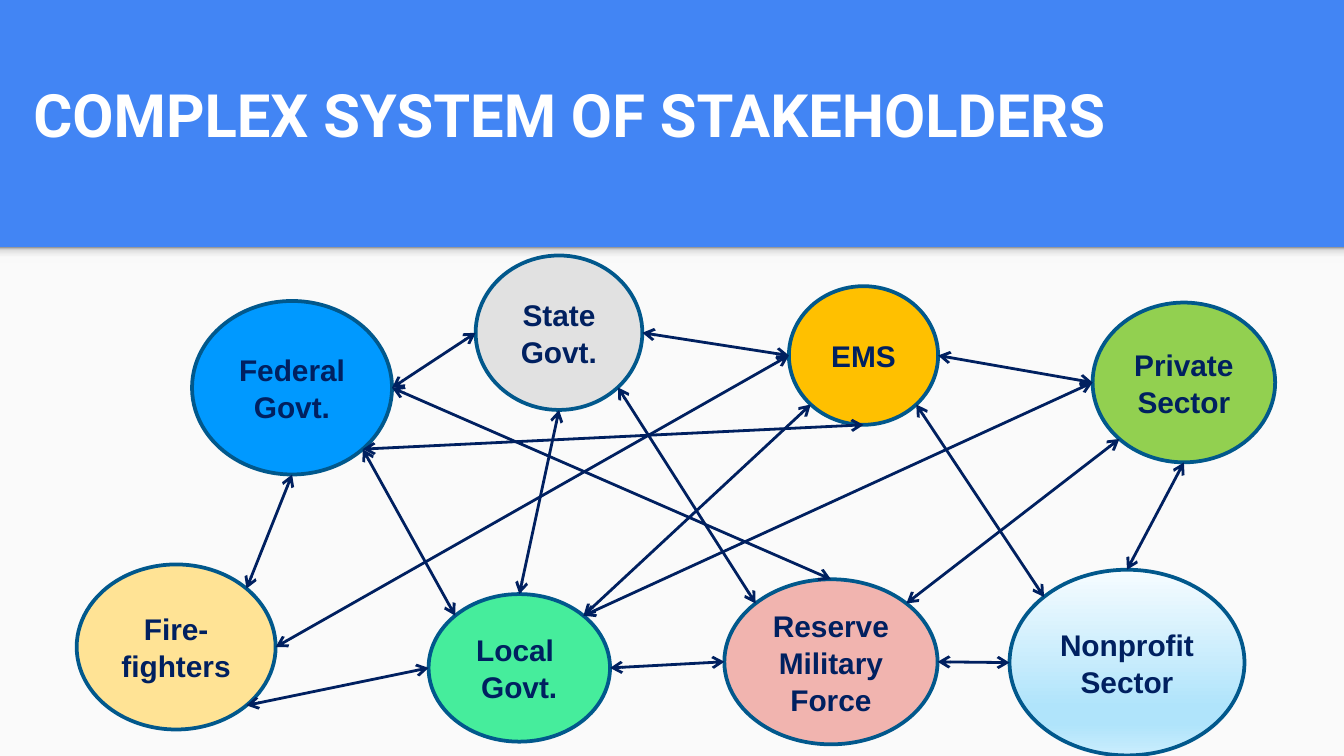
from math import cos, radians, sin

from lxml.etree import SubElement
from pptx import Presentation
from pptx.dml.color import RGBColor
from pptx.enum.shapes import MSO_CONNECTOR, MSO_SHAPE
from pptx.enum.text import MSO_ANCHOR, PP_ALIGN
from pptx.oxml.ns import qn
from pptx.util import Cm, Pt


def color(value):
    return RGBColor.from_string(value)


def fill_shape(shape, fill, angle=90):
    """Fill with one colour, or with a list of (percent, colour) stops."""
    if isinstance(fill, str):
        shape.fill.solid()
        shape.fill.fore_color.rgb = color(fill)
        return
    shape.fill.gradient()
    shape.fill.gradient_angle = angle
    stop_list = shape._element.spPr.find(".//" + qn("a:gsLst"))
    for stop in list(stop_list):
        stop_list.remove(stop)
    for percent, value in fill:
        stop = SubElement(stop_list, qn("a:gs"), pos=str(percent * 1000))
        SubElement(stop, qn("a:srgbClr"), val=value)


NAVY = "002060"
OUTLINE = "01588C"

presentation = Presentation()
presentation.slide_width = Cm(25.4)
presentation.slide_height = Cm(14.29)
slide = presentation.slides.add_slide(presentation.slide_layouts[5])
slide.background.fill.solid()
slide.background.fill.fore_color.rgb = color("4285F4")

# Light panel with a shadow strip along its top edge
shadow_stops = [(0, "F9F9F9"), (36, "F9F9F9"), (80, "DEDEDE"), (100, "999999")]
for height, fill in [(9.62, "FAFAFA"), (0.3, shadow_stops)]:
    shape = slide.shapes.add_shape(
        MSO_SHAPE.RECTANGLE, 0, Cm(4.67), presentation.slide_width, Cm(height))
    shape.shadow.inherit = False
    shape.line.fill.background()
    fill_shape(shape, fill)

# Title
title = slide.shapes.title
title.left, title.top, title.width, title.height = Cm(0.38), Cm(0.2), Cm(22.5), Cm(2.87)
frame = title.text_frame
frame.word_wrap = True
frame.vertical_anchor = MSO_ANCHOR.BOTTOM
frame.margin_left = frame.margin_right = Cm(0.25)
frame.margin_top = frame.margin_bottom = Cm(0.25)
paragraph = frame.paragraphs[0]
paragraph.alignment = PP_ALIGN.LEFT
run = paragraph.add_run()
run.text = "COMPLEX SYSTEM OF STAKEHOLDERS"
run.font.name = "Roboto"
run.font.size = Pt(32)
run.font.bold = True
run.font.color.rgb = color("FFFFFF")

# Stakeholders: name, lines, left, top, width, height, fill
ice_stops = [(0, "F6FCFF"), (74, "B0E4FB"), (83, "B0E4FB"), (100, "CAEDFD")]
stakeholders = [
    ("federal", ["Federal Govt."], 3.63, 5.69, 3.78, 3.28, "0099FF"),
    ("state", ["State Govt."], 8.99, 4.83, 3.15, 2.92, "E1E1E1"),
    ("fire", ["Fire-", "fighters"], 1.45, 10.67, 3.76, 3.12, "FFE395"),
    ("reserve", ["Reserve Military Force"], 13.69, 10.95, 4.03, 3.12, "F1B4AF"),
    ("ems", ["EMS"], 14.91, 5.41, 2.82, 2.62, "FFC000"),
    ("nonprofit", ["Nonprofit Sector"], 19.08, 10.77, 4.44, 3.51, ice_stops),
    ("private", ["Private Sector"], 20.65, 5.72, 3.45, 3.02, "92D050"),
    ("local", ["Local ", "Govt."], 8.1, 11.23, 3.43, 2.79, "46ED9C"),
]
ovals = {}
for name, lines, left, top, width, height, fill in stakeholders:
    shape = slide.shapes.add_shape(
        MSO_SHAPE.OVAL, Cm(left), Cm(top), Cm(width), Cm(height))
    shape.shadow.inherit = False
    fill_shape(shape, fill, angle=270)
    shape.line.color.rgb = color(OUTLINE)
    shape.line.width = Pt(2)
    frame = shape.text_frame
    frame.word_wrap = True
    frame.vertical_anchor = MSO_ANCHOR.MIDDLE
    for index, line in enumerate(lines):
        paragraph = frame.add_paragraph() if index else frame.paragraphs[0]
        paragraph.alignment = PP_ALIGN.CENTER
        paragraph.line_spacing = 1.03
        run = paragraph.add_run()
        run.text = line
        run.font.name = "Arial"
        run.font.size = Pt(16)
        run.font.bold = True
        run.font.color.rgb = color(NAVY)
    ovals[name] = shape

# Two-way links; an oval has eight sites, counterclockwise from 0 at the top
links = [
    ("federal", 6, "state", 2), ("local", 7, "ems", 3),
    ("state", 6, "ems", 2), ("ems", 6, "private", 2),
    ("ems", 5, "nonprofit", 1), ("reserve", 6, "nonprofit", 2),
    ("nonprofit", 0, "private", 4), ("fire", 6, "ems", 2),
    ("reserve", 1, "state", 5), ("local", 6, "reserve", 2),
    ("local", 0, "state", 4), ("local", 1, "federal", 5),
    ("ems", 4, "federal", 5), ("fire", 5, "local", 2),
    ("reserve", 0, "federal", 6), ("fire", 7, "federal", 4),
    ("local", 7, "private", 2), ("reserve", 7, "private", 3),
]
for start, start_site, end, end_site in links:
    ends = [("a:headEnd", "a:stCxn", ovals[start], start_site),
            ("a:tailEnd", "a:endCxn", ovals[end], end_site)]
    points = []
    for _, _, oval, site in ends:
        angle = radians(90 + 45 * site)
        points.append(int(oval.left + oval.width / 2 * (1 + cos(angle))))
        points.append(int(oval.top + oval.height / 2 * (1 - sin(angle))))
    connector = slide.shapes.add_connector(MSO_CONNECTOR.STRAIGHT, *points)
    connector.line.color.rgb = color(NAVY)
    connector.line.width = Pt(1.5)
    properties = connector._element.nvCxnSpPr.cNvCxnSpPr
    for arrow, joint, oval, site in ends:
        SubElement(connector.line._get_or_add_ln(), qn(arrow), type="arrow")
        SubElement(properties, qn(joint), id=str(oval.shape_id), idx=str(site))
    SubElement(connector._element.spPr, qn("a:effectLst"))

presentation.save("out.pptx")
